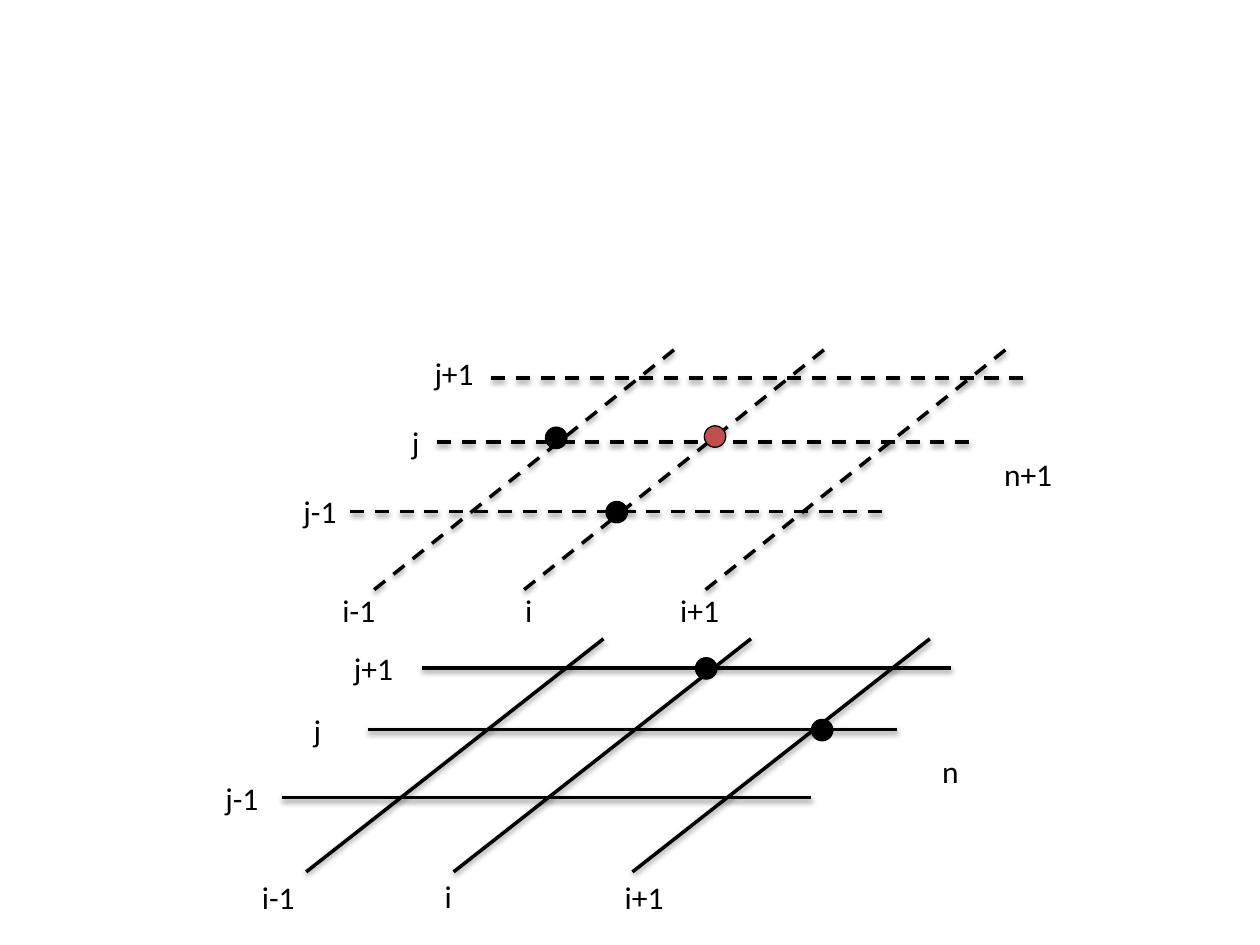
import pptx
import pptx.dml.color
import pptx.enum.dml
import pptx.enum.shapes
import pptx.enum.text
import pptx.oxml
import pptx.oxml.ns
import pptx.util

INK = "000000"
DOT = 0.17
LABEL_HEIGHT = 0.4
LABEL_WIDTHS = {"i": 0.26, "j": 0.26, "i+1": 0.51, "i-1": 0.47,
                "j+1": 0.52, "j-1": 0.47, "n": 0.33, "n+1": 0.59}

# Each time level is a sheared grid: i lines slant, j lines are horizontal.
LEVELS = [
    {"dashed": True, "bottom": 4.68, "top": 2.76, "slant": 2.4, "length": 4.27,
     "i_starts": [2.97, 4.16, 5.6],
     "j_starts": [(3.9, 3), (3.47, 3.51), (2.78, 4.06)],
     "labels": [("n+1", 7.87, 3.56),
                ("i-1", 2.62, 4.64), ("i", 4.07, 4.64), ("i+1", 5.3, 4.64),
                ("j+1", 3.35, 2.76), ("j", 3.17, 3.31), ("j-1", 2.31, 3.86)]},
    {"dashed": False, "bottom": 6.92, "top": 5.07, "slant": 2.36, "length": 4.2,
     "i_starts": [2.43, 3.6, 5.02],
     "j_starts": [(3.35, 5.3), (2.92, 5.79), (2.24, 6.33)],
     "labels": [("n", 7.38, 5.92),
                ("i-1", 1.98, 6.92), ("i", 3.43, 6.91), ("i+1", 4.86, 6.92),
                ("j+1", 2.71, 5.1), ("j", 2.39, 5.59), ("j-1", 1.69, 6.13)]},
]
NODES = [(4.81, 3.98, INK), (6.44, 5.71, INK), (5.52, 5.22, INK),
         (4.33, 3.39, INK), (5.59, 3.38, "C0504D")]

SHADOW = (
    f'<a:effectLst {pptx.oxml.ns.nsdecls("a")}>'
    '<a:outerShdw blurRad="40000" dist="20000" dir="5400000" rotWithShape="0">'
    '<a:srgbClr val="000000"><a:alpha val="38000"/></a:srgbClr>'
    '</a:outerShdw></a:effectLst>'
)


def rgb(value):
    return pptx.dml.color.RGBColor.from_string(value)


def inches(*values):
    return [pptx.util.Inches(v) for v in values]


def add_line(shapes, x1, y1, x2, y2, dashed):
    line = shapes.add_connector(pptx.enum.shapes.MSO_CONNECTOR.STRAIGHT,
                                *inches(x1, y1, x2, y2))
    line.line.color.rgb = rgb(INK)
    line.line.width = pptx.util.Pt(2)
    if dashed:
        line.line.dash_style = pptx.enum.dml.MSO_LINE.DASH
    line._element.spPr.append(pptx.oxml.parse_xml(SHADOW))


def add_grid(slide, level):
    group = slide.shapes.add_group_shape()
    for x in level["i_starts"]:
        add_line(group.shapes, x, level["bottom"],
                 x + level["slant"], level["top"], level["dashed"])
    for x, y in level["j_starts"]:
        add_line(group.shapes, x, y, x + level["length"], y, level["dashed"])


def add_node(slide, x, y, color):
    sp = slide.shapes.add_shape(pptx.enum.shapes.MSO_SHAPE.OVAL,
                                *inches(x, y, DOT, DOT))
    sp.shadow.inherit = False
    sp.fill.solid()
    sp.fill.fore_color.rgb = rgb(color)
    sp.line.color.rgb = rgb(INK)
    sp.line.width = pptx.util.Pt(0.75)


def add_label(slide, text, x, y):
    box = slide.shapes.add_textbox(
        *inches(x, y, LABEL_WIDTHS[text], LABEL_HEIGHT))
    tf = box.text_frame
    tf.word_wrap = False
    tf.auto_size = pptx.enum.text.MSO_AUTO_SIZE.SHAPE_TO_FIT_TEXT
    p = tf.paragraphs[0]
    p.text = text
    p.font.name = "Calibri"
    p.font.size = pptx.util.Pt(18)
    p.font.color.rgb = rgb(INK)


def main():
    prs = pptx.Presentation()
    prs.slide_width, prs.slide_height = inches(10, 7.5)
    slide = prs.slides.add_slide(prs.slide_layouts[6])
    for level in LEVELS:
        add_grid(slide, level)
    for node in NODES:
        add_node(slide, *node)
    for level in reversed(LEVELS):
        for label in level["labels"]:
            add_label(slide, *label)
    prs.save("out.pptx")


if __name__ == "__main__":
    main()
